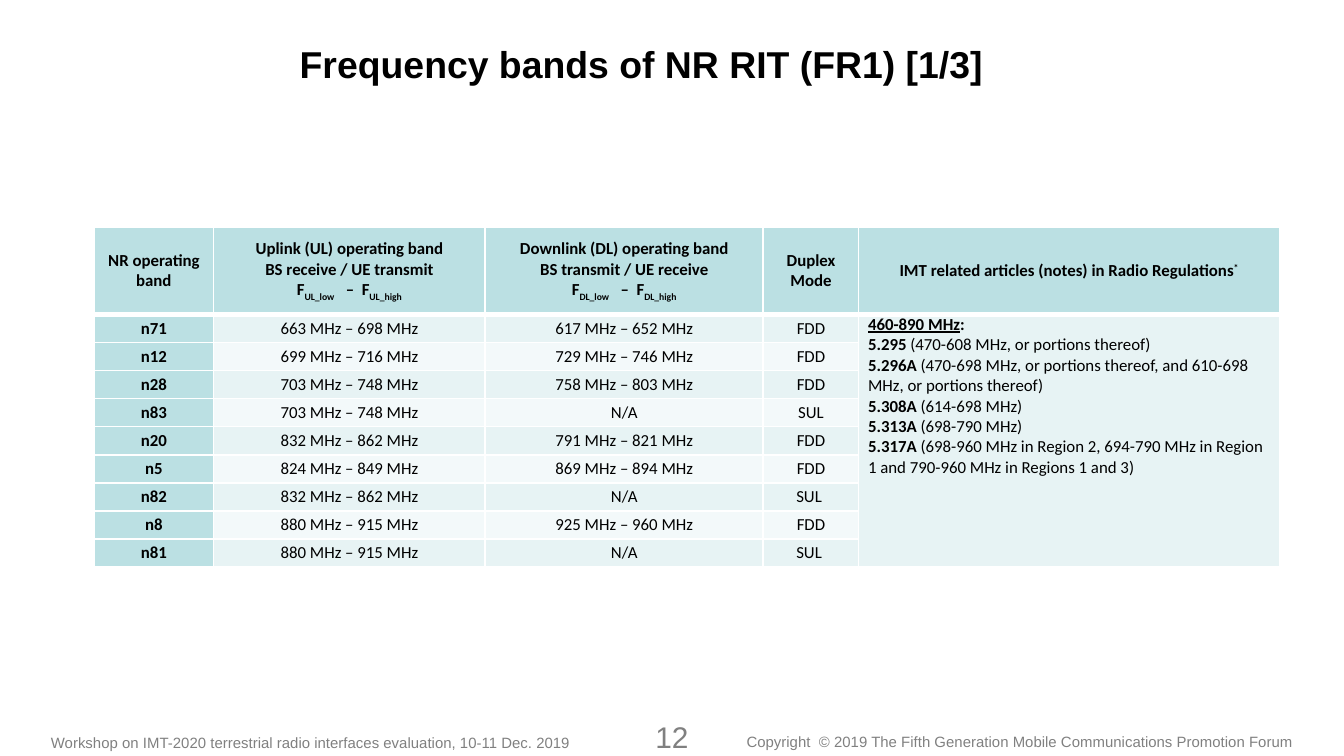
"""Build the slide listing the NR RIT frequency bands in FR1."""
from copy import deepcopy
from dataclasses import dataclass, field
from typing import Any

from lxml.etree import SubElement
from pptx import Presentation
from pptx.dml.color import RGBColor
from pptx.enum.text import MSO_ANCHOR as Anchor, PP_ALIGN as Align
from pptx.oxml.ns import qn
from pptx.util import Inches, Pt

BLACK = RGBColor(0x00, 0x00, 0x00)
GRAY = RGBColor(0x80, 0x80, 0x80)
WHITE = RGBColor(0xFF, 0xFF, 0xFF)
TEAL = RGBColor(0xBB, 0xE0, 0xE3)
PALE = RGBColor(0xE7, 0xF3, 0xF4)
PALER = RGBColor(0xF3, 0xF9, 0xFA)

SUBSCRIPT, SUPERSCRIPT = -25000, 30000
SLIDE_WIDTH = 10
COLUMN_WIDTHS = (0.89, 2.02, 2.07, 0.71, 3.13)
TABLE_HEIGHT, HEADER_HEIGHT = 2.53, 0.65
TITLE_FONT = {"name": "Arial", "size": Pt(20), "bold": True}
TABLE_FONT = {"name": "Calibri", "size": Pt(9)}
CELL_FORMAT = {
    "margin_left": Inches(0.07),
    "margin_right": Inches(0.07),
    "margin_top": 0,
    "margin_bottom": 0,
}


@dataclass
class Span:
    text: str
    bold: bool = False
    underline: bool = False
    baseline: int = 0
    ends_line: bool = False


@dataclass
class Band:
    name: str
    uplink: str
    downlink: str
    duplex: str


@dataclass
class Footer:
    text: str
    left: float
    top: float
    width: float
    height: float
    size: int = 8
    align: Align = Align.CENTER


@dataclass
class CellLook:
    fill: RGBColor
    align: Align = Align.CENTER
    anchor: Anchor = Anchor.MIDDLE
    borders: dict[str, float] = field(default_factory=dict)


Paragraphs = list[list[Span]]


def heading(text: str) -> list[Span]:
    return [Span(text, bold=True)]


def band_heading(link: str, direction: str, code: str) -> Paragraphs:
    limits = [
        Span("F", True),
        Span(f"{code}_low", True, baseline=SUBSCRIPT),
        Span("   –  F", True),
        Span(f"{code}_high", True, baseline=SUBSCRIPT),
    ]
    return [heading(f"{link} ({code}) operating band"), heading(direction), limits]


HEADINGS = [
    [heading("NR operating band")],
    band_heading("Uplink", "BS receive / UE transmit", "UL"),
    band_heading("Downlink", "BS transmit / UE receive", "DL"),
    [heading("Duplex Mode")],
    [heading("IMT related articles (notes) in Radio Regulations")
     + [Span("*", True, baseline=SUPERSCRIPT)]],
]
BANDS = [
    Band("n71", "663 MHz – 698 MHz", "617 MHz – 652 MHz", "FDD"),
    Band("n12", "699 MHz – 716 MHz", "729 MHz – 746 MHz", "FDD"),
    Band("n28", "703 MHz – 748 MHz", "758 MHz – 803 MHz", "FDD"),
    Band("n83", "703 MHz – 748 MHz", "N/A", "SUL"),
    Band("n20", "832 MHz – 862 MHz", "791 MHz – 821 MHz", "FDD"),
    Band("n5", "824 MHz – 849 MHz", "869 MHz – 894 MHz", "FDD"),
    Band("n82", "832 MHz – 862 MHz", "N/A", "SUL "),
    Band("n8", "880 MHz – 915 MHz", "925 MHz – 960 MHz", "FDD"),
    Band("n81", "880 MHz – 915 MHz", "N/A", "SUL "),
]
ARTICLES = {
    "5.295": "(470-608 MHz, or portions thereof)",
    "5.296A": "(470-698 MHz, or portions thereof, and 610-698 MHz, or portions thereof)",
    "5.308A": "(614-698 MHz)",
    "5.313A": "(698-790 MHz)",
    "5.317A": "(698-960 MHz in Region 2, 694-790 MHz in Region 1 and 790-960 MHz in Regions 1 and 3)",
}
NOTES = [Span("460-890 MHz", True, True), Span(":", True, ends_line=True)]
for article, scope in ARTICLES.items():
    NOTES += [Span(article, True), Span(f" {scope}", ends_line=article != "5.317A")]
FOOTERS = [
    Footer("12", 4.42, 5.3, 1.16, 0.32, size=16),
    Footer("Copyright  © 2019 The Fifth Generation Mobile Communications Promotion Forum",
           5.44, 5.4, 4.3, 0.24),
    Footer("Workshop on IMT-2020 terrestrial radio interfaces evaluation, 10-11 Dec. 2019",
           0.28, 5.41, 4.48, 0.24, align=Align.LEFT),
]


def apply_format(target: Any, values: dict[str, Any]) -> None:
    for attribute, value in values.items():
        setattr(target, attribute, value)


def draw_title(slide: Any, text: str) -> None:
    title = slide.shapes.title
    apply_format(title, {"left": Inches(2.13), "top": 0,
                         "width": Inches(7.87), "height": Inches(0.94)})
    title.text_frame.text = text
    title.text_frame.vertical_anchor = Anchor.MIDDLE
    paragraph = title.text_frame.paragraphs[0]
    paragraph.alignment = Align.LEFT
    font = paragraph.runs[0].font
    apply_format(font, TITLE_FONT)
    font.color.rgb = BLACK


def draw_footer(slide: Any, footer: Footer) -> None:
    box = slide.shapes.add_textbox(Inches(footer.left), Inches(footer.top),
                                   Inches(footer.width), Inches(footer.height))
    box.text_frame.word_wrap = True
    paragraph = box.text_frame.paragraphs[0]
    paragraph.alignment = footer.align
    run = paragraph.add_run()
    run.text = footer.text
    apply_format(run.font, {"name": "Arial", "size": Pt(footer.size)})
    run.font.color.rgb = GRAY


def add_span(paragraph: Any, span: Span) -> None:
    run = paragraph.add_run()
    run.text = span.text
    apply_format(run.font, TABLE_FONT | {"bold": span.bold, "underline": span.underline})
    run.font.color.rgb = BLACK
    properties = run._r.get_or_add_rPr()
    if span.baseline:
        properties.set("baseline", str(span.baseline))
    if span.ends_line:
        paragraph.add_line_break()
        paragraph._p.findall(qn("a:br"))[-1].append(deepcopy(properties))


def fill_cell(cell: Any, paragraphs: Paragraphs, look: CellLook) -> None:
    apply_format(cell, CELL_FORMAT | {"vertical_anchor": look.anchor})
    properties = cell._tc.get_or_add_tcPr()
    for side in ("lnL", "lnR", "lnT", "lnB"):
        border = SubElement(properties, qn(f"a:{side}"), w=str(Pt(look.borders.get(side, 1))))
        SubElement(SubElement(border, qn("a:solidFill")), qn("a:srgbClr"), val=str(WHITE))
    cell.fill.solid()
    cell.fill.fore_color.rgb = look.fill
    frame = cell.text_frame
    for index, spans in enumerate(paragraphs):
        paragraph = frame.add_paragraph() if index else frame.paragraphs[0]
        paragraph.alignment = look.align
        for span in spans:
            add_span(paragraph, span)


def draw_bands(slide: Any) -> None:
    table = slide.shapes.add_table(
        len(BANDS) + 1, len(COLUMN_WIDTHS), Inches(0.7), Inches(1.69),
        Inches(sum(COLUMN_WIDTHS)), Inches(TABLE_HEIGHT)).table
    for column, width in zip(table.columns, COLUMN_WIDTHS):
        column.width = Inches(width)
    for row in table.rows:
        row.height = Inches((TABLE_HEIGHT - HEADER_HEIGHT) / len(BANDS))
    table.rows[0].height = Inches(HEADER_HEIGHT)

    for column, paragraphs in enumerate(HEADINGS):
        fill_cell(table.cell(0, column), paragraphs, CellLook(TEAL, borders={"lnB": 3}))
    notes_column = len(COLUMN_WIDTHS) - 1
    table.cell(1, notes_column).merge(table.cell(len(BANDS), notes_column))
    for row, band in enumerate(BANDS, start=1):
        borders = {"lnT": 3} if row == 1 else {}
        stripe = PALE if row % 2 else PALER
        fill_cell(table.cell(row, 0), [heading(band.name)], CellLook(TEAL, borders=borders))
        for column, value in enumerate((band.uplink, band.downlink, band.duplex), start=1):
            fill_cell(table.cell(row, column), [[Span(value)]], CellLook(stripe, borders=borders))
        fill_cell(table.cell(row, notes_column), [NOTES] if row == 1 else [],
                  CellLook(PALE, Align.LEFT, Anchor.TOP, borders))


def main() -> None:
    deck = Presentation()
    apply_format(deck, {"slide_width": Inches(SLIDE_WIDTH),
                        "slide_height": Inches(SLIDE_WIDTH * 9 / 16)})
    slide = deck.slides.add_slide(deck.slide_layouts[5])
    for footer in FOOTERS:
        draw_footer(slide, footer)
    draw_title(slide, "Frequency bands of NR RIT (FR1) [1/3]")
    draw_bands(slide)
    deck.save("out.pptx")


if __name__ == "__main__":
    main()
